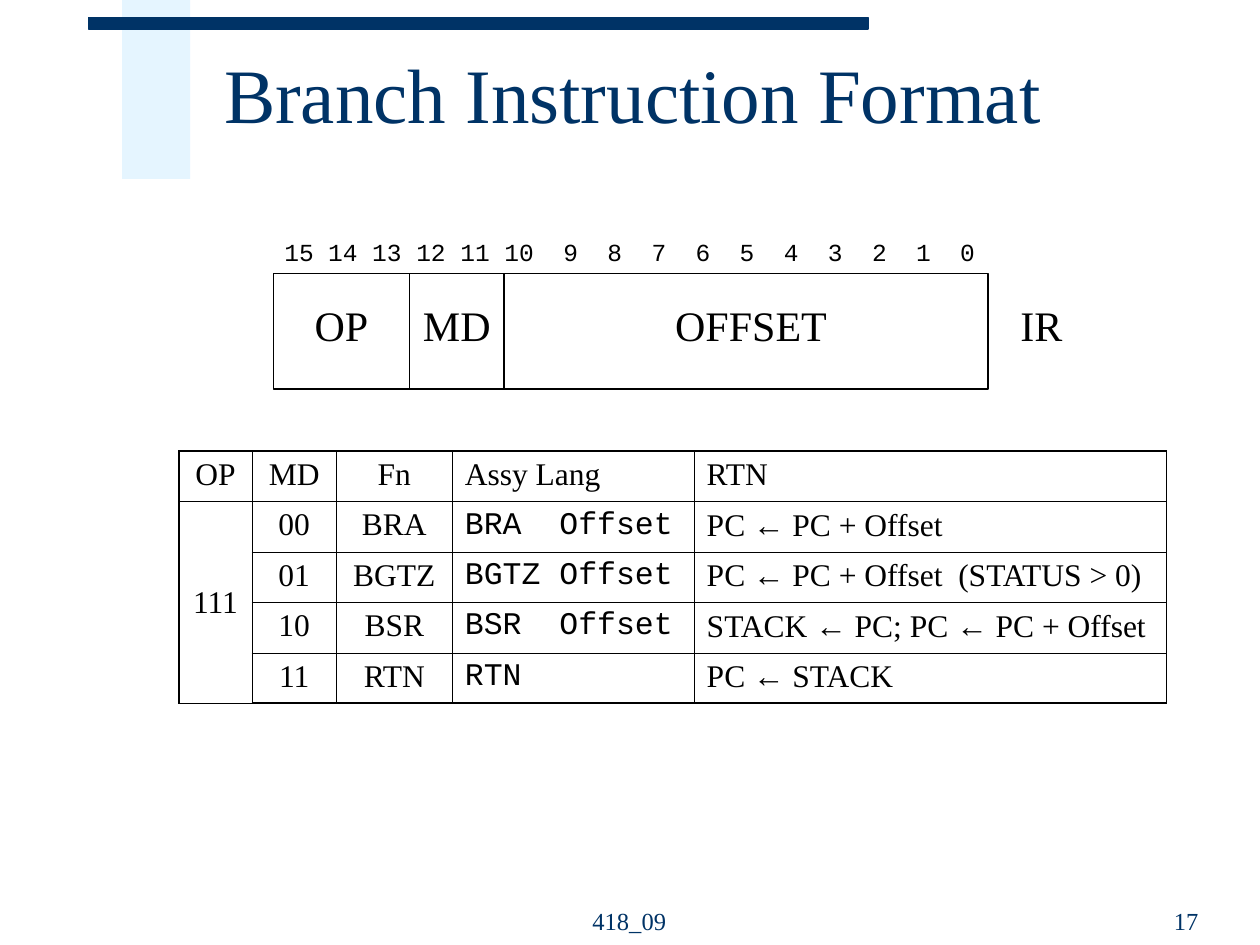
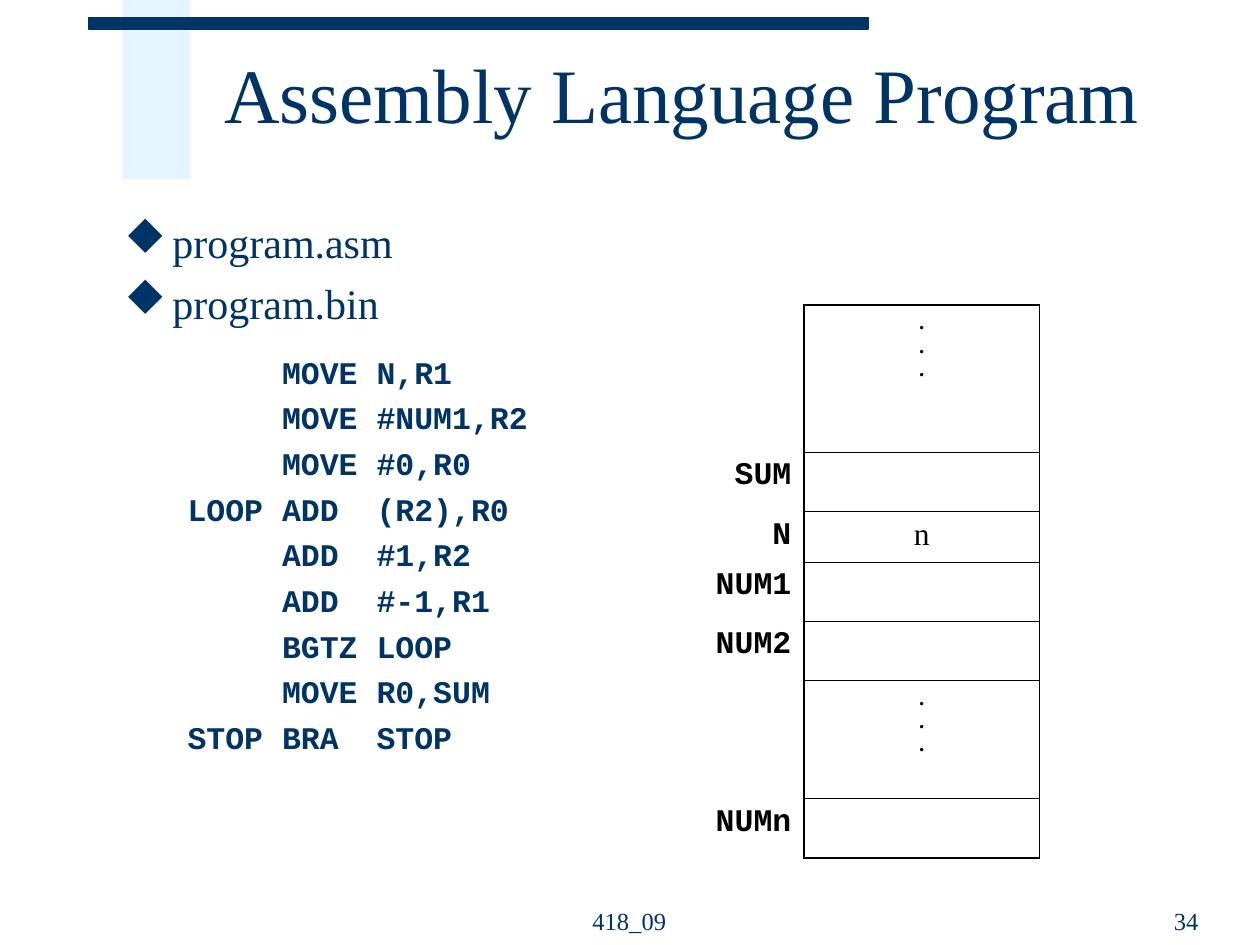
import itertools

import pptx
import pptx.dml.color
import pptx.enum.shapes
import pptx.enum.text
import pptx.oxml.ns
import pptx.util
from lxml import etree

Inches = pptx.util.Inches
Pt = pptx.util.Pt
ALIGN = pptx.enum.text.PP_ALIGN
ANCHOR = pptx.enum.text.MSO_ANCHOR
SHAPE = pptx.enum.shapes.MSO_SHAPE
qn = pptx.oxml.ns.qn

NAVY, PALE, BLACK, WHITE = "003366", "CCECFF", "000000", "FFFFFF"
SERIF, MONO, SANS = "Times New Roman", "Courier New", "Arial"
THICK, THIN = 1.08, 0.45

BITS = range(15, -1, -1)
FIELDS = [("OP", 2.17, 1.08), ("MD", 3.25, 0.75), ("OFFSET", 4.92, 2.08)]
BRANCHES = [
    ["OP", "MD", "Fn", "Assy Lang", "RTN"],
    ["111", "00", "BRA", "BRA  Offset", "PC ← PC + Offset"],
    ["", "01", "BGTZ", "BGTZ Offset", "PC ← PC + Offset  (STATUS > 0)"],
    ["", "10", "BSR", "BSR  Offset", "STACK ← PC; PC ← PC + Offset"],
    ["", "11", "RTN", "RTN", "PC ← STACK"],
]
DOTS = ".\v.\v."
MEMORY = [("", DOTS), ("", ""), ("SUM", ""), ("N", "n"), ("NUM1", ""),
          ("NUM2", ""), ("", DOTS), ("", ""), ("NUMn", "")]
CODE = """     MOVE N,R1
     MOVE #NUM1,R2
     MOVE #0,R0
LOOP ADD  (R2),R0
     ADD  #1,R2
     ADD  #-1,R1
     BGTZ LOOP
     MOVE R0,SUM
STOP BRA  STOP"""


def color(code):
    return pptx.dml.color.RGBColor.from_string(code)


def style(para, size, face=SERIF, ink=BLACK, bold=False, align=ALIGN.LEFT):
    para.alignment = align
    for run in para.runs:
        font = run.font
        font.size, font.name, font.bold = Pt(size), face, bold
        font.color.rgb = color(ink)


def label(slide, box, text, size, wrap=True, anchor=ANCHOR.TOP, gap=0, **look):
    """Add a text box, one paragraph a line, with gap points between lines."""
    frame = slide.shapes.add_textbox(*map(Inches, box)).text_frame
    frame.word_wrap, frame.vertical_anchor = wrap, anchor
    frame.text = text
    for i, para in enumerate(frame.paragraphs):
        if i and gap:
            para.space_before = Pt(gap)
        style(para, size, **look)
    return frame


def block(slide, box, fill, line=None, width=1):
    shape = slide.shapes.add_shape(SHAPE.RECTANGLE, *map(Inches, box))
    shape.shadow.inherit = False
    shape.fill.solid()
    shape.fill.fore_color.rgb = color(fill)
    if line:
        shape.line.color.rgb = color(line)
        shape.line.width = Pt(width)
    else:
        shape.line.fill.background()
    return shape


def fade(shape, share):
    """Make a solid fill show at the given share of full strength."""
    tone = shape.fill._xPr.find(qn("a:solidFill"))[0]
    etree.SubElement(tone, qn("a:alpha")).set("val", str(int(share * 100000)))


def divide(slide, left, top, end):
    line = slide.shapes.add_connector(
        pptx.enum.shapes.MSO_CONNECTOR.STRAIGHT,
        *map(Inches, (left, top, left, end)))
    line.line.color.rgb = color(BLACK)
    line.line.width = Pt(1)
    etree.SubElement(line._element.spPr, qn("a:effectLst"))


def bullet(para):
    """Mark a paragraph with a diamond, which is u in the symbol font."""
    props = para._p.get_or_add_pPr()
    props.set("marL", str(Inches(0.38)))
    props.set("indent", str(-Inches(0.38)))
    tone = etree.SubElement(props, qn("a:buClr"))
    etree.SubElement(tone, qn("a:srgbClr")).set("val", NAVY)
    face = etree.SubElement(props, qn("a:buFont"))
    face.set("typeface", "Wingdings")
    face.set("charset", "2")
    etree.SubElement(props, qn("a:buChar")).set("char", "u")


def stops(para, places):
    """Set right-aligned tab stops."""
    tabs = etree.SubElement(para._p.get_or_add_pPr(), qn("a:tabLst"))
    for place in places:
        tab = etree.SubElement(tabs, qn("a:tab"))
        tab.set("pos", str(Inches(place)))
        tab.set("algn", "r")


def border(cell, left, right, top, bottom):
    """Set the four border widths in points (0 hides one) and clear the fill."""
    props = cell._tc.get_or_add_tcPr()
    for side, width in zip("LRTB", (left, right, top, bottom)):
        line = etree.SubElement(props, qn("a:ln" + side))
        line.set("w", str(Pt(width)))
        if width:
            fill = etree.SubElement(line, qn("a:solidFill"))
            etree.SubElement(fill, qn("a:srgbClr")).set("val", BLACK)
        else:
            etree.SubElement(line, qn("a:noFill"))
    cell.fill.background()


def grid(slide, left, top, cols, rows):
    frame = slide.shapes.add_table(
        len(rows), len(cols), Inches(left), Inches(top),
        Inches(sum(cols)), Inches(sum(rows)))
    table = frame.table
    table.first_row = table.horz_banding = False
    for col, width in zip(table.columns, cols):
        col.width = Inches(width)
    for row, height in zip(table.rows, rows):
        row.height = Inches(height)
    return table


def edge(outer):
    return THICK if outer else THIN


def transfer(para, text):
    """Write a register transfer with its arrows in the sans face."""
    for arrow, part in itertools.groupby(text, lambda sign: sign == "←"):
        run = para.add_run()
        run.text = "".join(part)
        run.font.name = SANS if arrow else SERIF
        run.font.size = Pt(18)
        run.font.color.rgb = color(BLACK)


def base(deck, title, page):
    slide = deck.slides.add_slide(deck.slide_layouts[6])
    fade(block(slide, (0.97, 0, 0.54, 1.42), PALE), 0.5)
    block(slide, (0.7, 0.14, 6.19, 0.09), NAVY, NAVY, 0.75)
    head = label(slide, (1.68, 0.17, 8.07, 1.25), title, 44,
                 anchor=ANCHOR.MIDDLE, ink=NAVY)
    head.paragraphs[0].line_spacing = 0.85
    for box, text, align in (((4.08, 6.97, 1.83, 0.5), "418_09", ALIGN.CENTER),
                             ((7.21, 6.97, 2.4, 0.5), page, ALIGN.RIGHT)):
        label(slide, box, text, 14, anchor=ANCHOR.BOTTOM, ink=NAVY, align=align)
    return slide


def word(slide):
    """Draw the instruction word with its bit numbers and fields."""
    block(slide, (2.17, 2.17, 5.67, 0.92), WHITE, BLACK)
    bits = label(slide, (2.16, 1.83, 5.7, 0.34), "\t".join(map(str, BITS)), 14,
                 wrap=False, face=MONO)
    stops(bits.paragraphs[0], [0.23 + 0.35 * i for i in range(1, len(BITS))])
    for left in (3.25, 4):
        divide(slide, left, 2.17, 3.08)
    for name, left, width in FIELDS:
        label(slide, (left, 2.33, width, 0.5), name, 24, align=ALIGN.CENTER)
    label(slide, (8, 2.33, 0.53, 0.5), "IR", 24, wrap=False)


def branches(slide):
    cols, rows = [0.58, 0.67, 0.92, 1.92, 3.75], [0.4] * len(BRANCHES)
    table = grid(slide, 1.42, 3.58, cols, rows)
    last, end = len(rows) - 1, len(cols) - 1
    for r, texts in enumerate(BRANCHES):
        for c, text in enumerate(texts):
            cell = table.cell(r, c)
            border(cell, edge(c == 0), edge(c == end),
                   edge(r == 0), edge(r == last))
            para = cell.text_frame.paragraphs[0]
            if c == end:
                transfer(para, text)
                continue
            para.text = text
            style(para, 18, face=MONO if r and c == 3 else SERIF,
                  align=ALIGN.CENTER if c < 3 else ALIGN.LEFT)
    table.cell(1, 0).merge(table.cell(last, 0))
    table.cell(1, 0).vertical_anchor = ANCHOR.MIDDLE


def memory(slide):
    rows = [0.47, 0.7, 0.47, 0.4] + [0.47] * 5
    table = grid(slide, 5.25, 2.42, [1.13, 1.87], rows)
    last = len(rows) - 1
    for r, (name, value) in enumerate(MEMORY):
        tag, slot = table.cell(r, 0), table.cell(r, 1)
        border(tag, 0, THICK, 0, 0)
        border(slot, THICK, THICK, edge(r == 0), edge(r == last))
        tag.text, slot.text = name, value
        style(tag.text_frame.paragraphs[0], 18, face=MONO, bold=True,
              align=ALIGN.RIGHT)
        dots = value == DOTS
        style(slot.text_frame.paragraphs[0], 12 if dots else 18, bold=dots,
              align=ALIGN.CENTER)
    for r, (name, value) in enumerate(MEMORY):
        if value == DOTS:
            table.cell(r, 1).merge(table.cell(r + 1, 1))


def main():
    deck = pptx.Presentation()
    deck.slide_width, deck.slide_height = Inches(10), Inches(7.5)

    slide = base(deck, "Branch Instruction Format", "17")
    word(slide)
    branches(slide)

    slide = base(deck, "Assembly Language Program", "34")
    files = label(slide, (0.89, 1.67, 8.7, 5), "program.asm\nprogram.bin", 24,
                  gap=6, ink=NAVY)
    for para in files.paragraphs:
        bullet(para)
    memory(slide)
    label(slide, (1.39, 2.75, 3.86, 4.5), CODE, 18, gap=4.5,
          face=MONO, ink=NAVY, bold=True)

    deck.save("out.pptx")


if __name__ == "__main__":
    main()
